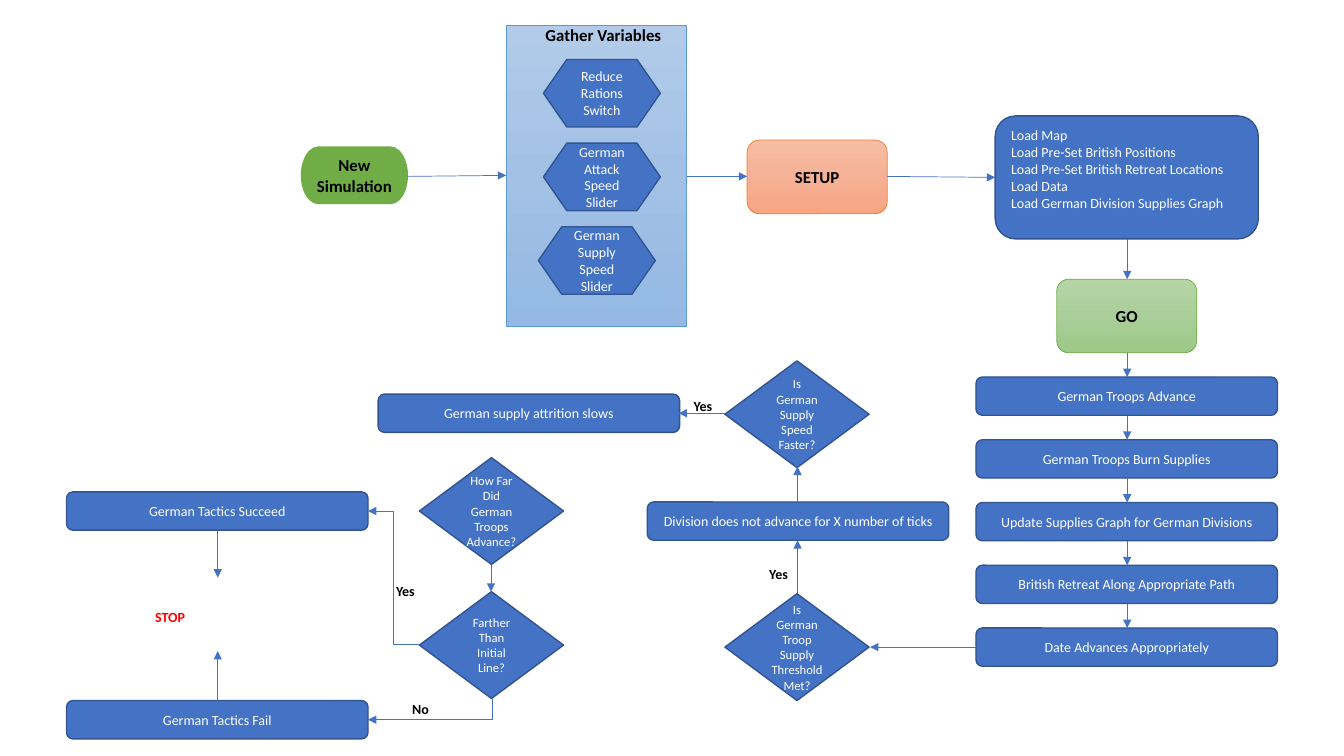
from copy import deepcopy
from lxml.etree import SubElement
from pptx import Presentation
from pptx.dml.color import RGBColor
from pptx.enum.shapes import MSO_CONNECTOR as LINK, MSO_SHAPE as SHAPE
from pptx.enum.text import MSO_ANCHOR, PP_ALIGN
from pptx.oxml.ns import qn
from pptx.util import Inches, Pt

BLUE = RGBColor(0x44, 0x72, 0xC4)
NAVY = RGBColor(0x32, 0x54, 0x91)
SKY = RGBColor(0x5B, 0x9B, 0xD5)
GREEN = RGBColor(0x70, 0xAD, 0x47)
ORANGE = RGBColor(0xED, 0x7D, 0x31)
RED = RGBColor(0xFF, 0x00, 0x00)
BLACK = RGBColor(0x00, 0x00, 0x00)
WHITE = RGBColor(0xFF, 0xFF, 0xFF)
SKIES = [RGBColor(0xB1, 0xCB, 0xE9), RGBColor(0xA3, 0xC1, 0xE5), RGBColor(0x93, 0xB9, 0xE4)]
PEACH = [RGBColor(0xF7, 0xBD, 0xA5), RGBColor(0xF5, 0xB1, 0x96), RGBColor(0xF8, 0xA5, 0x82)]
MINT = [RGBColor(0xB5, 0xD5, 0xA7), RGBColor(0xAA, 0xCE, 0x9A), RGBColor(0x9C, 0xC9, 0x87)]


class Flow:
    font = "Calibri"

    def __init__(self, slide):
        self.shapes = slide.shapes

    def text(self, frame, lines, size, color, bold, align):
        for i, line in enumerate(lines):
            para = frame.add_paragraph() if i else frame.paragraphs[0]
            para.alignment = align
            run = para.add_run()
            run.text = line
            font = run.font
            font.name, font.size, font.bold = self.font, Pt(size), bold
            font.color.rgb = color

    def shape(self, kind, x, y, w, h, lines=(), size=10, fill=BLUE, edge=NAVY,
              width=1, color=WHITE, bold=False, align=PP_ALIGN.CENTER):
        box = self.shapes.add_shape(kind, Inches(x), Inches(y), Inches(w), Inches(h))
        box.shadow.inherit = False
        if isinstance(fill, list):
            self.blend(box, fill)
        else:
            box.fill.solid()
            box.fill.fore_color.rgb = fill
        box.line.color.rgb = edge
        box.line.width = Pt(width)
        frame = box.text_frame
        frame.word_wrap = True
        frame.vertical_anchor = MSO_ANCHOR.MIDDLE
        self.text(frame, lines, size, color, bold, align)
        return box

    def blend(self, box, colors):
        box.fill.gradient()
        box.fill.gradient_angle = 270
        stops = box._element.spPr.find(qn("a:gradFill")).find(qn("a:gsLst"))
        stops.append(deepcopy(stops[0]))
        for i, (stop, color) in enumerate(zip(box.fill.gradient_stops, colors)):
            stop.position = i / 2
            stop.color.rgb = color

    def step(self, x, y, text):
        self.shape(SHAPE.FLOWCHART_ALTERNATE_PROCESS, x, y, 2.99, 0.38, [text])

    def check(self, x, y, text):
        self.shape(SHAPE.DIAMOND, x, y, 1.43, 1.06, [text], size=9)

    def label(self, x, y, w, text, size=10, color=BLACK, h=0.27, align=PP_ALIGN.LEFT):
        box = self.shapes.add_textbox(Inches(x), Inches(y), Inches(w), Inches(h))
        box.text_frame.word_wrap = False
        self.text(box.text_frame, [text], size, color, True, align)

    def arrow(self, x1, y1, x2, y2, kind=LINK.STRAIGHT):
        link = self.shapes.add_connector(kind, Inches(x1), Inches(y1), Inches(x2), Inches(y2))
        link.line.color.rgb = BLUE
        link.line.width = Pt(0.5)
        props = link._element.spPr
        SubElement(props.find(qn("a:ln")), qn("a:tailEnd"), type="triangle")
        SubElement(props, qn("a:effectLst"))
        return props


def main():
    deck = Presentation()
    deck.slide_width, deck.slide_height = Inches(13.33), Inches(7.5)
    flow = Flow(deck.slides.add_slide(deck.slide_layouts[6]))

    # Start and variables
    flow.shape(SHAPE.RECTANGLE, 5.02, 0.25, 1.79, 2.99, fill=SKIES, edge=SKY, width=0.5)
    flow.label(5.24, 0.2, 1.49, "Gather Variables", size=12, h=0.3, align=PP_ALIGN.CENTER)
    flow.shape(SHAPE.FLOWCHART_TERMINATOR, 2.99, 1.46, 1.05, 0.56, ["New", "Simulation"],
               size=12, fill=GREEN, edge=GREEN, color=BLACK, bold=True)
    knobs = [(5.39, ["Reduce Rations Switch"]),
             (5.39, ["German Attack Speed Slider"]),
             (5.34, ["German Supply Speed", "Slider"])]
    for i, (x, lines) in enumerate(knobs):
        flow.shape(SHAPE.FLOWCHART_PREPARATION, x, 0.59 + 0.83 * i, 1.16, 0.67, lines)

    # Setup, loading and go
    for x, y, text, fill, edge in [(7.41, 1.39, "SETUP", PEACH, ORANGE),
                                   (10.48, 2.77, "GO", MINT, GREEN)]:
        flow.shape(SHAPE.ROUNDED_RECTANGLE, x, y, 1.39, 0.73, [text], size=12,
                   fill=fill, edge=edge, width=0.5, color=BLACK, bold=True)
    data = flow.shape(SHAPE.FLOWCHART_ALTERNATE_PROCESS, 9.87, 1.15, 2.61, 1.22,
                      ["Load Map", "Load Pre-Set British Positions",
                       "Load Pre-Set British Retreat Locations", "Load Data",
                       "Load German Division Supplies Graph"], align=PP_ALIGN.LEFT)
    data.text_frame.margin_bottom = Inches(0.22)
    for x1, y1, x2, y2 in [(4.04, 1.75, 5.02, 1.74), (6.81, 1.75, 7.41, 1.75),
                           (8.8, 1.75, 9.87, 1.76), (11.18, 2.37, 11.18, 2.77)]:
        flow.arrow(x1, y1, x2, y2)

    # Steps of each tick
    ticks = ["German Troops Advance", "German Troops Burn Supplies",
             "Update Supplies Graph for German Divisions",
             "British Retreat Along Appropriate Path", "Date Advances Appropriately"]
    pitch = (6.23 - 3.74) / 4
    for i, text in enumerate(ticks):
        top = 3.74 + pitch * i
        flow.step(9.68, top, text)
        flow.arrow(11.18, top - 0.24, 11.18, top)

    # Supply checks
    flow.check(7.19, 5.89, "Is German Troop Supply Threshold Met?")
    flow.check(7.19, 3.58, "Is German Supply Speed Faster?")
    flow.step(6.42, 4.98, "Division does not advance for X number of ticks")
    flow.step(3.75, 3.91, "German supply attrition slows")
    for x1, y1, x2, y2 in [(9.68, 6.42, 8.63, 6.42), (7.91, 5.89, 7.91, 5.36),
                           (7.91, 4.98, 7.91, 4.63), (7.19, 4.1, 6.73, 4.1)]:
        flow.arrow(x1, y1, x2, y2)

    # Outcome
    flow.check(4.16, 4.54, "How Far Did German Troops Advance?")
    flow.check(4.16, 5.87, "Farther Than Initial Line?")
    flow.step(0.66, 4.88, "German Tactics Succeed")
    flow.step(0.66, 6.95, "German Tactics Fail")
    for x, y1, y2 in [(4.87, 5.6, 5.87), (2.16, 5.26, 5.73), (2.16, 6.95, 6.46)]:
        flow.arrow(x, y1, x, y2)
    flow.arrow(4.16, 6.39, 3.65, 5.07, LINK.ELBOW)
    # One-corner elbow, turned to run down and then left
    turn = flow.arrow(4.16, 6.42, 4.37, 7.65, LINK.ELBOW)
    turn.find(qn("a:prstGeom")).set("prst", "bentConnector2")
    turn.find(qn("a:xfrm")).set("rot", "5400000")

    # Branch labels
    for x, y, text in [(3.83, 5.73, "Yes"), (3.99, 6.9, "No"),
                       (6.78, 3.89, "Yes"), (7.53, 5.56, "Yes")]:
        flow.label(x, y, 0.42, text)
    flow.label(1.44, 5.99, 0.52, "STOP", color=RED)

    deck.save("out.pptx")


if __name__ == "__main__":
    main()
